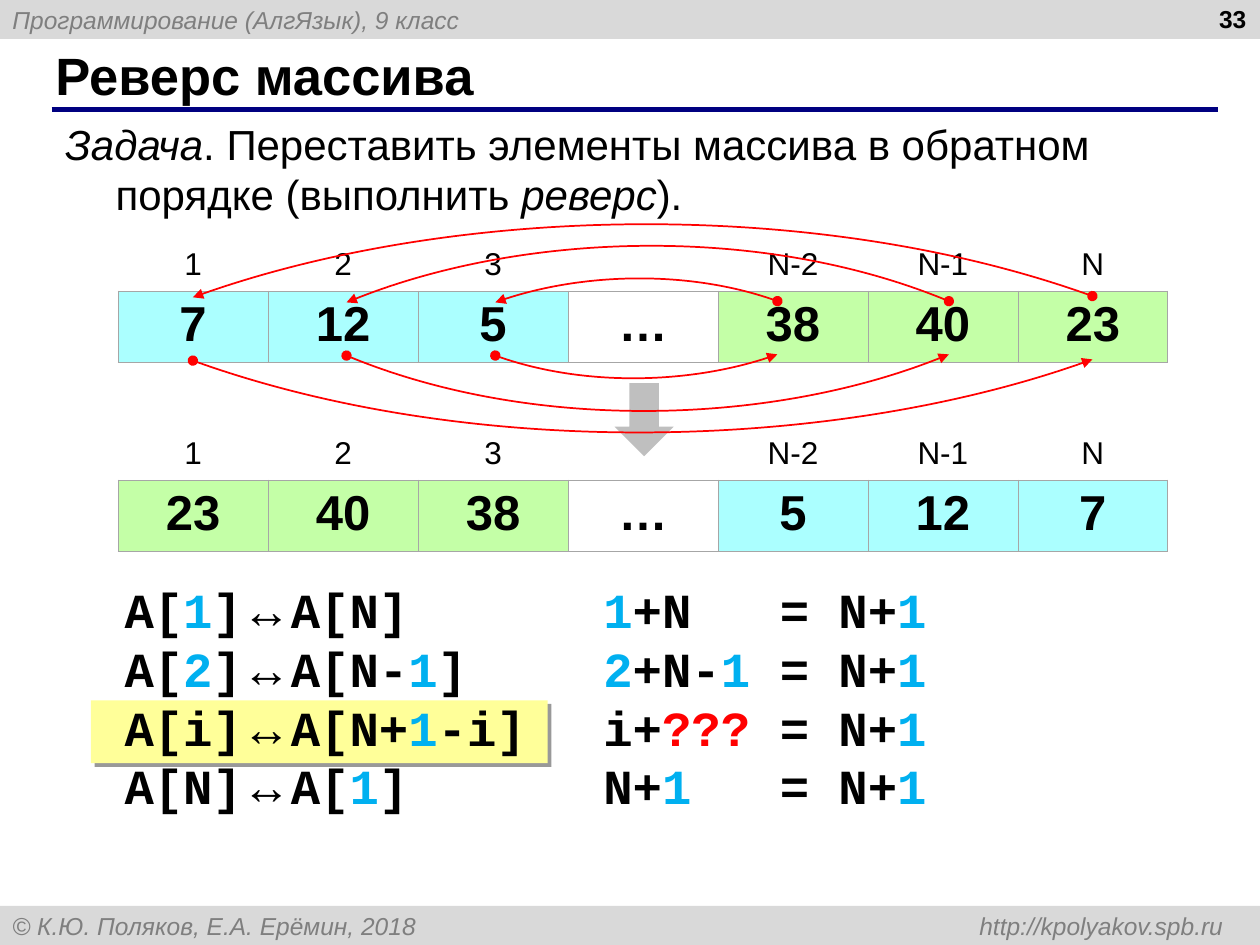
from itertools import groupby

from lxml import etree
from pptx import Presentation
from pptx.dml.color import RGBColor
from pptx.enum.shapes import MSO_CONNECTOR, MSO_SHAPE
from pptx.enum.text import MSO_ANCHOR, MSO_AUTO_SIZE, PP_ALIGN
from pptx.oxml.ns import qn
from pptx.util import Pt

LEFT, CENTER, RIGHT = PP_ALIGN.LEFT, PP_ALIGN.CENTER, PP_ALIGN.RIGHT
MIDDLE, NO_FIT = MSO_ANCHOR.MIDDLE, MSO_AUTO_SIZE.NONE
RECT, DOWN_ARROW = MSO_SHAPE.RECTANGLE, MSO_SHAPE.DOWN_ARROW
STRAIGHT = MSO_CONNECTOR.STRAIGHT

BLACK = RGBColor(0x00, 0x00, 0x00)
BAR = RGBColor(0xD9, 0xD9, 0xD9)
BAR_TEXT = RGBColor(0x7F, 0x7F, 0x7F)
NAVY = RGBColor(0x00, 0x00, 0x80)
YELLOW = RGBColor(0xFF, 0xFF, 0x99)
ARROW = RGBColor(0xBF, 0xBF, 0xBF)
CYAN = RGBColor(0xAB, 0xFF, 0xFF)
GREEN = RGBColor(0xC4, 0xFF, 0xA7)
BLUE = RGBColor(0x00, 0xB0, 0xF0)
RED = RGBColor(0xFF, 0x00, 0x00)
BORDER = "A6A6A6"
NO_GRID = "{2D5ABB26-0587-4C30-8999-92F81FD0307C}"


def add_run(p, text, size, color=BLACK, bold=False, italic=False, font="Arial"):
    r = p.add_run()
    r.text = text
    r.font.name, r.font.size = font, Pt(size)
    r.font.bold, r.font.italic = bold, italic
    r.font.color.rgb = color


def add_tab(p, pos, align):
    tabs = etree.SubElement(p._p.get_or_add_pPr(), qn("a:tabLst"))
    etree.SubElement(tabs, qn("a:tab"), pos=str(Pt(pos)), algn=align)


prs = Presentation()
prs.slide_width, prs.slide_height = Pt(720), Pt(540)
slide = prs.slides.add_slide(prs.slide_layouts[5])
shapes = slide.shapes

bars = [
    (0, "Программирование (АлгЯзык), 9 класс"),
    (517.7, "© К.Ю. Поляков, Е.А. Ерёмин, 2018 \thttp://kpolyakov.spb.ru"),
]
for top, text in bars:
    s = shapes.add_shape(RECT, 0, Pt(top), Pt(720), Pt(22.3))
    s.shadow.inherit = False
    s.fill.solid()
    s.fill.fore_color.rgb = BAR
    s.line.fill.background()
    tf = s.text_frame
    tf.vertical_anchor = MIDDLE
    p = tf.paragraphs[0]
    p.alignment = LEFT
    add_tab(p, 692, "r")
    add_run(p, text, 14, BAR_TEXT, italic=True)

s = shapes.add_connector(STRAIGHT, Pt(29.5), Pt(62.6), Pt(696.2), Pt(62.6))
s.line.color.rgb = NAVY
s.line.width = Pt(3)
etree.SubElement(s._element.spPr, qn("a:effectLst"))

s = shapes.add_shape(RECT, Pt(52), Pt(400.2), Pt(261), Pt(36))
s.shadow.inherit = False
s.fill.solid()
s.fill.fore_color.rgb = YELLOW
s.line.fill.background()
effects = s._element.spPr.find(qn("a:effectLst"))
shadow = etree.SubElement(effects, qn("a:outerShdw"), dist=str(Pt(3)), dir="2700000")
color = etree.SubElement(shadow, qn("a:srgbClr"), val="000000")
etree.SubElement(color, qn("a:alpha"), val="40000")

title = shapes.title
title.left, title.top, title.width, title.height = Pt(24.5), Pt(23.8), Pt(659.5), Pt(37.4)
tf = title.text_frame
tf.auto_size, tf.vertical_anchor = NO_FIT, MIDDLE
p = tf.paragraphs[0]
p.alignment = LEFT
add_run(p, "Реверс массива", 30, bold=True)

s = shapes.add_textbox(Pt(551.5), Pt(-1.4), Pt(167.8), Pt(37.4))
s.text_frame.word_wrap = True
p = s.text_frame.paragraphs[0]
p.alignment = RIGHT
add_run(p, "33", 14, bold=True)

s = shapes.add_textbox(Pt(30.2), Pt(64.1), Pt(663), Pt(64.8))
s.text_frame.word_wrap = True
p = s.text_frame.paragraphs[0]
pPr = p._p.get_or_add_pPr()
pPr.set("marL", str(Pt(28.8)))
pPr.set("indent", str(Pt(-28.8)))
add_run(p, "Задача", 24, italic=True)
add_run(p, ". Переставить элементы массива в обратном порядке (выполнить ", 24)
add_run(p, "реверс", 24, italic=True)
add_run(p, ").", 24)

indices = ["1", "2", "3", "", "N-2", "N-1", "N"]
values = ["7", "12", "5", "…", "38", "40", "23"]
fills = [CYAN] * 3 + [None] + [GREEN] * 3
arrays = [(137.5, values, fills), (245.5, values[::-1], fills[::-1])]
for top, numbers, colors in arrays:
    frame = shapes.add_table(2, 7, Pt(67.5), Pt(top), Pt(600), Pt(69.8))
    table = frame.table
    table.first_row = table.horz_banding = False
    table._tbl.tblPr.find(qn("a:tableStyleId")).text = NO_GRID
    table.rows[0].height, table.rows[1].height = Pt(28.8), Pt(41)
    for col in range(7):
        head, cell = table.cell(0, col), table.cell(1, col)
        borders = [(head, "a:lnB")]
        borders += [(cell, "a:ln" + side) for side in "LRTB"]
        for owner, tag in borders:
            tcPr = owner._tc.get_or_add_tcPr()
            ln = etree.SubElement(tcPr, qn(tag), w=str(Pt(0.45)))
            fill = etree.SubElement(ln, qn("a:solidFill"))
            etree.SubElement(fill, qn("a:srgbClr"), val=BORDER)
        head.fill.background()
        if colors[col]:
            cell.fill.solid()
            cell.fill.fore_color.rgb = colors[col]
        else:
            cell.fill.background()
        rows = [(head, indices[col], 18, 4.5, False), (cell, numbers[col], 28, 7, True)]
        for owner, text, size, before, bold in rows:
            p = owner.text_frame.paragraphs[0]
            p.alignment, p.space_before = CENTER, Pt(before)
            if text:
                add_run(p, text, size, bold=bold)

s = shapes.add_shape(DOWN_ARROW, Pt(351.2), Pt(218.9), Pt(33.8), Pt(41.8))
s.shadow.inherit = False
s.fill.solid()
s.fill.fore_color.rgb = ARROW
s.line.fill.background()

upper_arcs = [
    [(444.2, 172.1), (394.6, 154.1), (328.3, 156.2), (283, 172.8)],
    [(542.2, 172.1), (437, 128.2), (294.5, 132.5), (198, 172.8)],
    [(624.2, 169.2), (466.6, 112.3), (254.2, 117.4), (110.2, 169.9)],
]
for upper in upper_arcs:
    sum_x = upper[0][0] + upper[-1][0]
    lower = [(sum_x - x, 375.3 - y) for x, y in upper]
    for arc in (upper, lower):
        points = [(Pt(x), Pt(y)) for x, y in arc]
        builder = shapes.build_freeform(*points[0])
        builder.add_line_segments(points[1:], close=False)
        s = builder.convert_to_shape()
        s.shadow.inherit = False
        s.fill.background()
        s.line.color.rgb = RED
        s.line.width = Pt(1)
        ln = s.line._get_or_add_ln()
        etree.SubElement(ln, qn("a:headEnd"), type="oval")
        etree.SubElement(ln, qn("a:tailEnd"), type="triangle")
        segments = list(s._element.iter(qn("a:lnTo")))
        curve = etree.SubElement(segments[0].getparent(), qn("a:cubicBezTo"))
        for segment in segments:
            curve.append(segment[0])
            segment.getparent().remove(segment)

code_boxes = [
    (64.1, 257, ["A[1]↔A[N]", "A[2]↔A[N-1]", "A[i]↔A[N+1-i]", "A[N]↔A[1]"]),
    (337.7, 243.4, ["1+N\t= N+1", "2+N-1\t= N+1", "i+???\t= N+1", "N+1\t= N+1"]),
]
char_colors = {"1": BLUE, "2": BLUE, "?": RED}
for left, width, lines in code_boxes:
    s = shapes.add_textbox(Pt(left), Pt(327.6), Pt(width), Pt(141.8))
    tf = s.text_frame
    tf.word_wrap = True
    for i, line in enumerate(lines):
        p = tf.add_paragraph() if i else tf.paragraphs[0]
        add_tab(p, 100.8, "l")
        styles = groupby(line, lambda c: (char_colors.get(c, BLACK), c == "↔"))
        for (color, is_arrow), chars in styles:
            font = "Arial" if is_arrow else "Courier New"
            add_run(p, "".join(chars), 28, color, bold=True, font=font)

prs.save("out.pptx")
